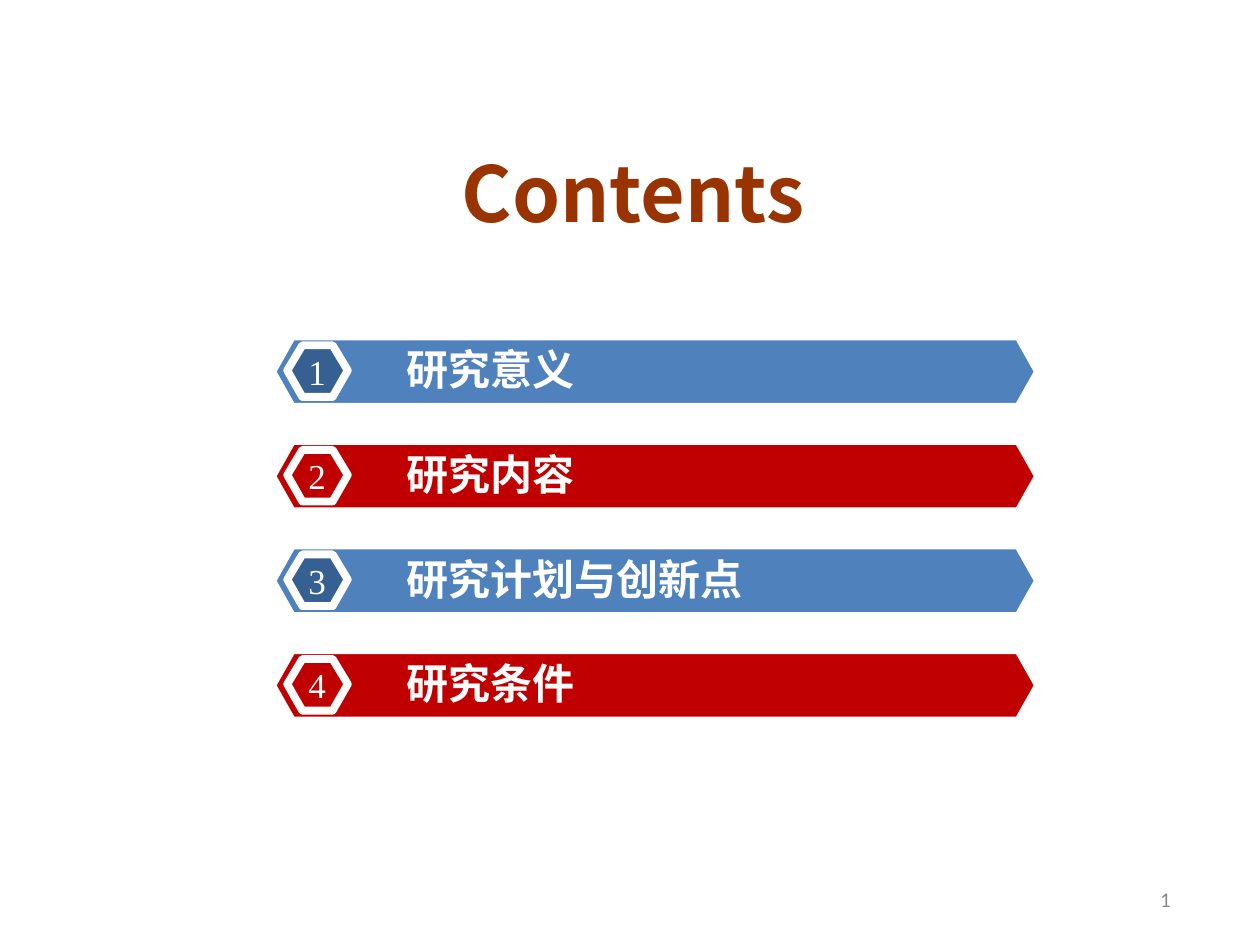
import pptx
import pptx.util
import pptx.dml.color
import pptx.enum.shapes
import pptx.enum.text
import pptx.oxml
import pptx.oxml.ns

Inches, Pt = pptx.util.Inches, pptx.util.Pt
ALIGN, ANCHOR = pptx.enum.text.PP_ALIGN, pptx.enum.text.MSO_ANCHOR


def paint(shape, color):
    """Flat fill with a thick white edge."""
    shape.shadow.inherit = False
    shape.fill.solid()
    shape.fill.fore_color.rgb = pptx.dml.color.RGBColor.from_string(color)
    shape.line.color.rgb = pptx.dml.color.RGBColor.from_string("FFFFFF")
    shape.line.width = Pt(4.5)


def write(shape, text, color, align, frame, font):
    """Put one line of text in a shape; frame and font hold format values."""
    body = shape.text_frame
    for key, val in frame.items():
        setattr(body, key, val)
    line = body.paragraphs[0]
    line.alignment = align
    run = line.add_run()
    run.text = text
    for key, val in font.items():
        setattr(run.font, key, val)
    run.font.color.rgb = pptx.dml.color.RGBColor.from_string(color)
    east = pptx.oxml.parse_xml(
        '<a:ea %s typeface="Noto Sans CJK SC"/>' % pptx.oxml.ns.nsdecls("a"))
    run.font._element.append(east)
    return line


deck = pptx.Presentation()
deck.slide_width, deck.slide_height = Inches(10), Inches(7.5)
slide = deck.slides.add_slide(deck.slide_layouts[5])

title = slide.shapes.title
place = {"left": 3.53, "top": 1.19, "width": 2.99, "height": 0.91}
for key, val in place.items():
    setattr(title, key, Inches(val))
head = write(title, "Contents", "993300", ALIGN.CENTER,
             {"word_wrap": False, "vertical_anchor": ANCHOR.TOP,
              "auto_size": pptx.enum.text.MSO_AUTO_SIZE.NONE},
             {"name": "Noto Sans CJK SC", "size": Pt(44), "bold": True})
head.line_spacing = 0.9

# Contents bars: blue and red in turn, each with a numbered badge
topics = ["研究意义", "研究内容", "研究计划与创新点", "研究条件"]
tones = [("4F81BD", "376092"), ("C00000", "C00000")]
inset = {"margin_left": Inches(0.51), "margin_top": 0,
         "margin_right": Inches(0.08), "margin_bottom": Inches(0.04),
         "vertical_anchor": ANCHOR.MIDDLE, "word_wrap": True}
badge = [(2.4, 0), (2.64, 0), (2.76, 0.2), (2.64, 0.41), (2.4, 0.41), (2.28, 0.2)]
first, pitch = 2.67, 0.83

for i, topic in enumerate(topics):
    top = first + i * pitch
    light, dark = tones[i % 2]
    group = slide.shapes.add_group_shape()

    bar = group.shapes.add_shape(
        pptx.enum.shapes.MSO_SHAPE.HEXAGON,
        Inches(2.16), Inches(top), Inches(6.08), Inches(0.56))
    bar.adjustments[0] = 0.282
    paint(bar, light)
    write(bar, topic, "FFFFFF", ALIGN.LEFT, inset,
          {"name": "Arial", "size": Pt(24), "bold": True})

    points = [(Inches(x), Inches(top + 0.07 + y)) for x, y in badge]
    pen = group.shapes.build_freeform(*points[0])
    pen.add_line_segments(points[1:], close=True)
    paint(pen.convert_to_shape(), dark)

    label = group.shapes.add_textbox(
        Inches(2.35), Inches(top + 0.06), Inches(0.53), Inches(0.44))
    write(label, str(i + 1), "FFFFFF", ALIGN.JUSTIFY, {"word_wrap": True},
          {"name": "Times New Roman", "size": Pt(20)})

page = slide.shapes.add_textbox(Inches(7.06), Inches(6.94), Inches(2.33), Inches(0.4))
write(page, "1", "898989", ALIGN.RIGHT,
      {"word_wrap": True, "vertical_anchor": ANCHOR.MIDDLE},
      {"name": "Calibri", "size": Pt(12)})

deck.save("out.pptx")
